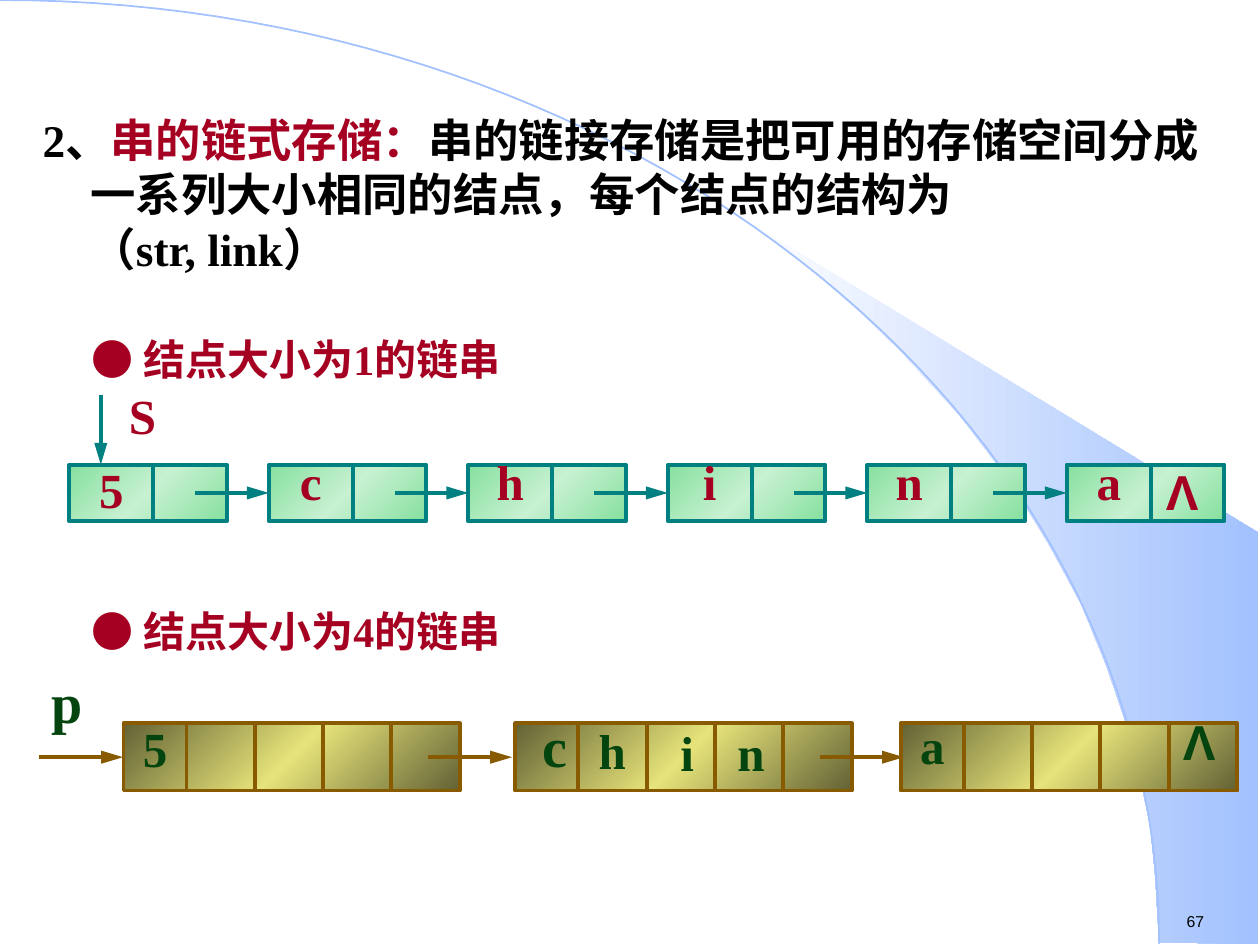
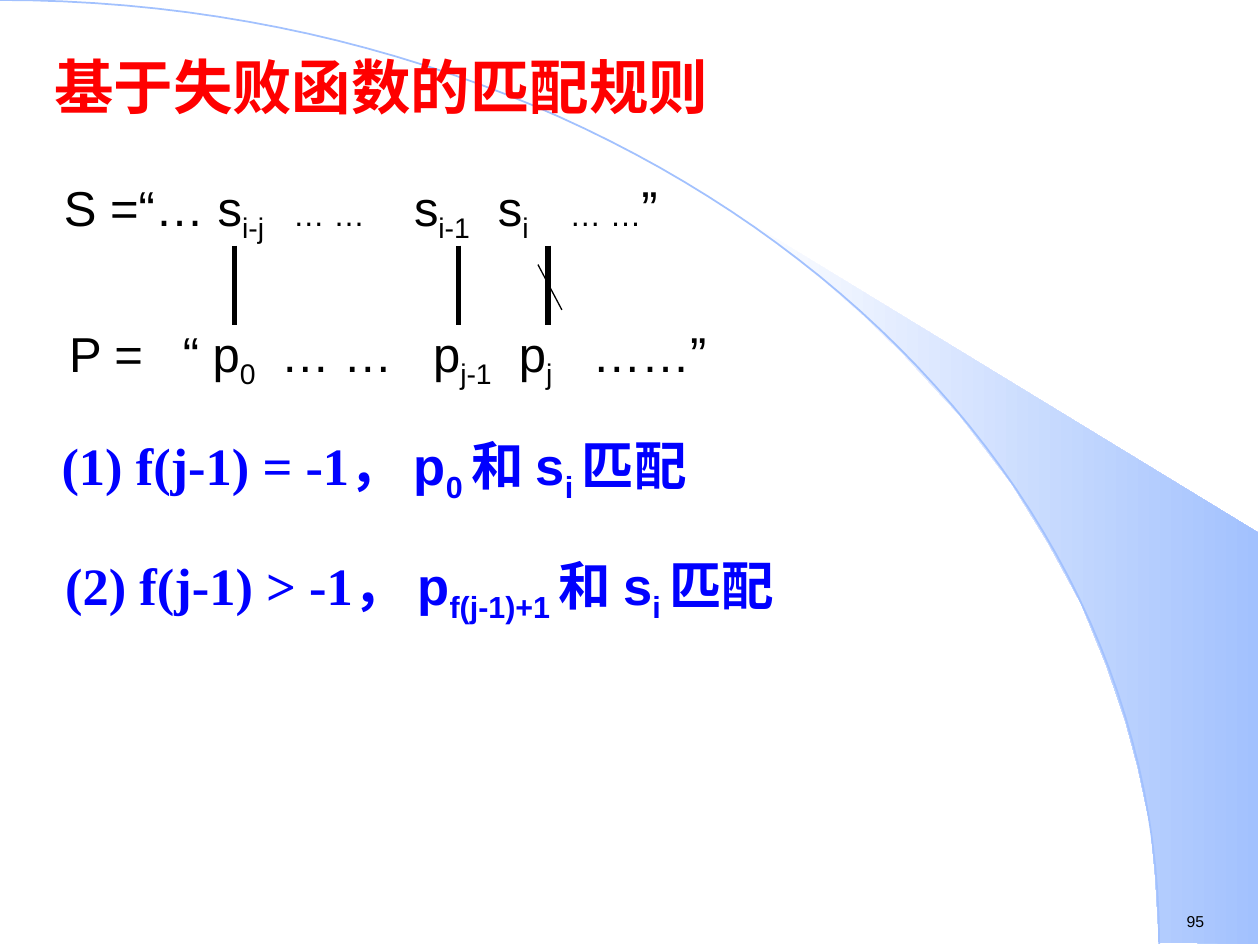
from lxml.etree import SubElement
from pptx import Presentation
from pptx.dml.color import RGBColor
from pptx.enum.shapes import MSO_CONNECTOR as Connector, MSO_SHAPE as Shape
from pptx.enum.text import MSO_ANCHOR as Anchor, MSO_AUTO_SIZE as AutoSize, PP_ALIGN as Align
from pptx.oxml.ns import qn
from pptx.util import Pt

# Shared style
SERIF, SANS = "Times New Roman", "Arial"
BLACK, CRIMSON, RED, BLUE = "000000", "A50021", "FF0000", "0000FF"
TEAL, BROWN, GREEN, SKY = "008080", "885B00", "04440F", "A2C1FE"
MINT_STOPS = [(0, "86E09E"), (50, "C7F1D2"), (100, "86E09E")]
OLIVE_STOPS = [(0, "636235"), (50, "E6E37A"), (100, "636235")]
BEAM_STOPS = [(0, "FFFFFF"), (100, SKY)]
HANGING = 27.4
SUB = {"sub": True}

# Backdrop
ARC_WIDTH, ARC_HEIGHT, ARC_STEPS = 662.4, 539.3, 60
ARC_CURVE = [(0, 0), (365.8, 0), (ARC_WIDTH, 241.2), (ARC_WIDTH, ARC_HEIGHT)]
BEAM = [(662.4, 538.6), (719.3, 539.3), (719.3, 304.6), (424.1, 124.6), (449.3, 143.3),
        (470.2, 159.8), (493.2, 180), (515.5, 201.6), (548.6, 237.6), (578.2, 276.5),
        (599, 310.3), (617.8, 344.9), (632.2, 380.2), (643, 411.8), (650.2, 438.5),
        (657.4, 472.3), (660.2, 501.1)]

# Slide 67: linked storage of strings
STORAGE_TEXT = [
    ("2、", {}),
    ("串的链式存储：", {"color": CRIMSON}),
    ("串的链接存储是把可用的存储空间分成一系列大小相同的结点，每个结点的结构为\v（str, link）", {}),
]
HEADINGS = [("● 结点大小为1的链串", 170.6, 53.3, Anchor.MIDDLE),
            ("● 结点大小为4的链串", 326.9, 51.8, Anchor.TOP)]
SINGLE_NODES = ["5", "c", "h", "i", "n", "a"]
# text, left, top, width, size, line spacing, font, alignment
BLOCK_LABELS = [
    ("5", 70.6, 413.3, 36, 28, 0.8, SERIF, Align.CENTER),
    ("c", 294.5, 411.8, 45.4, 32, 0.75, SERIF, Align.CENTER),
    ("h", 329, 416.2, 41.8, 28, 0.75, SERIF, Align.CENTER),
    ("i", 368.6, 406.1, 48.2, 28, 1.1, SERIF, Align.CENTER),
    ("n", 408.2, 406.1, 41.8, 28, 1.1, SERIF, Align.CENTER),
    ("a", 514.8, 413.3, 36, 28, 0.75, SERIF, Align.CENTER),
    ("Λ", 668.9, 408.2, 36, 28, 0.85, SANS, Align.LEFT),
    ("p", 22.3, 378, 36, 32, 1, SERIF, Align.LEFT),
]

# Slide 95: matching rule
RULE_TITLE = "基于失败函数的匹配规则"
SMALL = {"size": 18}
# left, top, tab stops, runs
STRING_ROWS = [
    (29.5, 97.9, [131, 200, 248, 289],
     [("S =“… s", {}), ("i-j", SUB), ("\t… …", SMALL), ("\ts", {}), ("i-1", SUB),
      ("\ts", {}), ("i", SUB), ("\t… …", SMALL), ("”", {})]),
    (32.4, 181.4, [65, 121, 208, 257, 299],
     [("P =\t“ p", {}), ("0", SUB), ("\t… …\tp", {}), ("j-1", SUB),
      ("\tp", {}), ("j", SUB), ("\t……”", {})]),
]
MATCH_BARS = [133.9, 262.1, 313.2]
# left, top, condition, subscript of p
CASES = [(28.1, 244.1, "(1) f(j-1) = -1， ", "0 "),
         (30.2, 312.5, "(2) f(j-1) > -1， ", "f(j-1)+1 ")]


def rgb(value):
    return RGBColor.from_string(value)


def fill_gradient(shape, stops, angle=0):
    shape.fill.gradient()
    shape.fill.gradient_angle = angle
    stop_list = shape._element.spPr.find(".//" + qn("a:gsLst"))
    for stop in list(stop_list):
        stop_list.remove(stop)
    for position, color in stops:
        stop = SubElement(stop_list, qn("a:gs"), pos=str(position * 1000))
        SubElement(stop, qn("a:srgbClr"), val=color)


def write(frame, runs, size, color, font=SERIF, bold=True, spacing=None,
          align=Align.LEFT, hanging=0, tabs=()):
    """Fill a text frame with one paragraph of (text, overrides) runs."""
    frame.word_wrap = True
    para = frame.paragraphs[0]
    para.alignment = align
    if spacing:
        para.line_spacing = spacing
    properties = para._p.get_or_add_pPr()
    if hanging:
        properties.set("marL", str(Pt(hanging)))
        properties.set("indent", str(-Pt(hanging)))
    if tabs:
        tab_list = SubElement(properties, qn("a:tabLst"))
        for stop in tabs:
            SubElement(tab_list, qn("a:tab"), pos=str(Pt(stop)), algn="l")
    for text, changes in runs:
        for number, line in enumerate(text.split("\v")):
            if number:
                para.add_line_break()
            span = para.add_run()
            span.text = line
            span.font.name = changes.get("font", font)
            span.font.size = Pt(changes.get("size", size))
            span.font.bold = bold
            span.font.color.rgb = rgb(changes.get("color", color))
            if changes.get("sub"):
                span._r.get_or_add_rPr().set("baseline", "-25000")


def add_text(page, left, top, width, height, runs, size, color, **style):
    box = page.shapes.add_textbox(Pt(left), Pt(top), Pt(width), Pt(height))
    write(box.text_frame, [(runs, {})] if isinstance(runs, str) else runs, size, color, **style)
    return box


def add_line(page, x1, y1, x2, y2, color, width=2.25, arrow=False):
    line = page.shapes.add_connector(Connector.STRAIGHT, Pt(x1), Pt(y1), Pt(x2), Pt(y2))
    line.line.color.rgb = rgb(color)
    line.line.width = Pt(width)
    if arrow:
        SubElement(line.line._get_or_add_ln(), qn("a:tailEnd"), type="triangle", w="med", len="lg")
    SubElement(line._element.spPr, qn("a:effectLst"))


def add_node(page, left, top, width, height, dividers, stops, color):
    node = page.shapes.add_shape(Shape.RECTANGLE, Pt(left), Pt(top), Pt(width), Pt(height))
    node.shadow.inherit = False
    fill_gradient(node, stops, 315)
    node.line.color.rgb = rgb(color)
    node.line.width = Pt(2.25)
    for offset in dividers:
        add_line(page, left + offset, top, left + offset, top + height, color)


def add_outline(page, points, close):
    (x, y), *rest = [(Pt(px), Pt(py)) for px, py in points]
    builder = page.shapes.build_freeform(x, y)
    builder.add_line_segments(rest, close=close)
    outline = builder.convert_to_shape()
    outline.shadow.inherit = False
    return outline


def add_backdrop(deck, page):
    """Draw the beam and the arc, then move them to the master."""
    beam = add_outline(page, BEAM, True)
    fill_gradient(beam, BEAM_STOPS)
    beam.line.fill.background()
    curve = []
    for step in range(ARC_STEPS + 1):
        t = step / ARC_STEPS
        weights = [(1 - t) ** 3, 3 * t * (1 - t) ** 2, 3 * t ** 2 * (1 - t), t ** 3]
        curve.append([sum(w * p[axis] for w, p in zip(weights, ARC_CURVE)) for axis in (0, 1)])
    arc = add_outline(page, curve, False)
    arc.fill.background()
    arc.line.color.rgb = rgb(SKY)
    arc.line.width = Pt(1)
    tree = deck.slide_master.shapes.element
    for position, shape in enumerate([beam, arc], start=2):
        tree.insert(position, shape._element)


def add_page_number(page, number):
    add_text(page, 671, 517.7, 49, 18, number, 9, BLACK, font=SANS, bold=False)


def build_storage_slide(page):
    add_page_number(page, "67")
    add_text(page, 17.3, 60.5, 689, 107.3, STORAGE_TEXT, 25.9, BLACK, hanging=HANGING)
    for text, top, height, anchor in HEADINGS:
        heading = add_text(page, 45.4, top, 400, height, text, 24, CRIMSON, spacing=1.55)
        heading.text_frame.vertical_anchor = anchor

    # Chain with one character per node
    left, top, width, height, pitch, divider = 39.6, 265.5, 90, 32.4, 114, 48
    middle = top + height / 2
    label = {"size": 28, "color": CRIMSON, "align": Align.CENTER}
    for index, text in enumerate(SINGLE_NODES):
        x = left + index * pitch
        add_node(page, x, top, width, height, [divider], MINT_STOPS, TEAL)
        lowered = index == 0
        add_text(page, x + 6, top if lowered else top - 5.6, 36, 36, text,
                 spacing=0.8 if lowered else 0.85, **label)
        if index < len(SINGLE_NODES) - 1:
            add_line(page, x + 72, middle, x + pitch, middle, TEAL, 2.5, arrow=True)
    add_text(page, x + divider, top, 36, 36, "Λ", spacing=0.85, font=SANS, **label)
    add_text(page, 63.4, 221.8, 36, 36, "S", spacing=0.85, **label)
    add_line(page, 57.6, 226, 57.6, top, TEAL, 2.5, arrow=True)

    # Chain with four characters per node
    top, height = 413.3, 38.5
    dividers = [36 + 39 * step for step in range(4)]
    node_lefts = [70.6, 294.5, 514.8]
    for x in node_lefts:
        add_node(page, x, top, 192.2, height, dividers, OLIVE_STOPS, BROWN)
    for start in [22.3] + [x + 174 for x in node_lefts[:-1]]:
        add_line(page, start, 432.7, start + 48, 432.7, BROWN, 2.5, arrow=True)
    for text, x, y, box_width, size, spacing, font, align in BLOCK_LABELS:
        add_text(page, x, y, box_width, 36, text, size, GREEN,
                 font=font, spacing=spacing, align=align)


def build_rule_slide(page):
    add_page_number(page, "95")
    title = page.shapes.title
    title.left, title.top, title.width, title.height = Pt(23.8), Pt(25.2), Pt(581), Pt(48.2)
    title.text_frame.auto_size = AutoSize.NONE
    title.text_frame.vertical_anchor = Anchor.TOP
    write(title.text_frame, [(RULE_TITLE, {})], 34, RED, hanging=HANGING)

    # String and pattern with the compared positions
    for left, top, tabs, runs in STRING_ROWS:
        add_text(page, left, top, 590, 45.4, runs, 28, BLACK, font=SANS, bold=False, tabs=tabs)
    for x in MATCH_BARS:
        add_line(page, x, 140.4, x, 185.8, BLACK, 3)
    add_line(page, 307.4, 151.2, 321.1, 177.1, BLACK, 0.75)

    # Two cases of the failure function
    for left, top, condition, subscript in CASES:
        runs = [(condition, {"font": SERIF}), ("p", {}), (subscript, SUB),
                ("和 s", {}), ("i ", SUB), ("匹配", {})]
        add_text(page, left, top, 581, 48.2, runs, 30, BLUE, font=SANS, hanging=HANGING)


def main():
    deck = Presentation()
    deck.slide_width, deck.slide_height = Pt(720), Pt(540)
    title_only, blank = deck.slide_layouts[5], deck.slide_layouts[6]
    storage_page = deck.slides.add_slide(blank)
    add_backdrop(deck, storage_page)
    build_storage_slide(storage_page)
    build_rule_slide(deck.slides.add_slide(title_only))
    deck.save("out.pptx")


if __name__ == "__main__":
    main()
